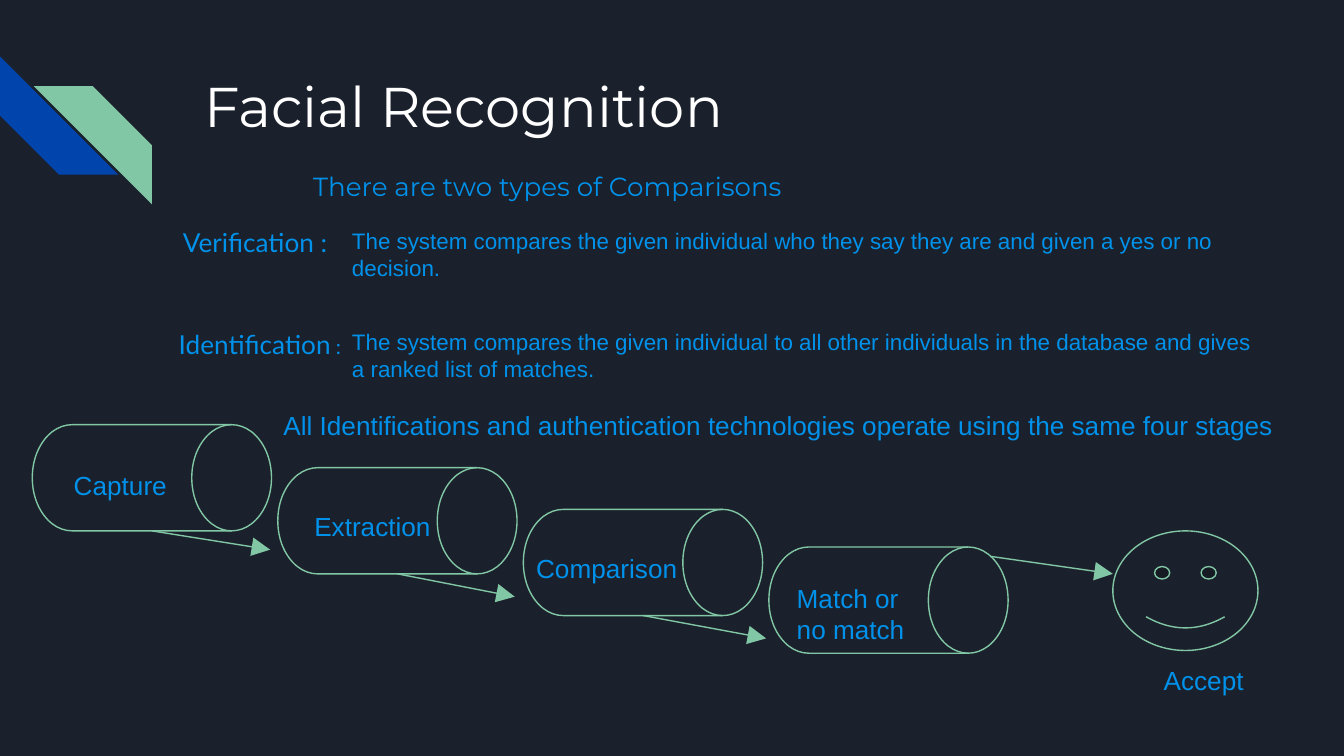
"""Build the Facial Recognition slide on a grid of 100 columns by 56.25 rows."""
from lxml import etree
from pptx import Presentation
from pptx import util as u
from pptx.dml.color import RGBColor
from pptx.enum import shapes, text
from pptx.oxml import ns

NAVY = RGBColor(0x1B, 0x21, 0x2C)
BLUE = RGBColor(0x01, 0x45, 0xAC)
GREEN = RGBColor(0x82, 0xC7, 0xA5)
SKY = RGBColor(0x00, 0x91, 0xEA)
WHITE = RGBColor(0xFF, 0xFF, 0xFF)

CELL = u.Inches(0.1)
COLUMNS, ROWS = 100, 56.25
DRUM_WIDTH, DRUM_HEIGHT = 17.8, 7.9
DRUM_LEFT, DRUM_STEP = 2.4, 18.27
PRESET = shapes.MSO_SHAPE

STAGES = [
    ("Capture", 31.6, (4.5, 33.9, 13.9, 3.6), (20.1, 40.9)),
    ("Extraction", 34.8, (22.4, 37, 13.4, 3.6), (38.3, 44.4)),
    ("Comparison", 37.9, (38.9, 40.1, 12.9, 3.6), (57, 47.5)),
    ("Match or no match", 40.7, (58.3, 42.3, 11.4, 6.3), None),
]
NOTES = [
    ("All Identifications and authentication technologies operate using "
     "the same four stages", (20.1, 29.5, 84.2, 5), 14),
    ("The system compares the given individual who they say they are and "
     "given a yes or no decision.", (25.2, 15.9, 70.1, 5.4), 12),
    ("The system compares the given individual to all other individuals in "
     "the database and gives a ranked list of matches.",
     (25.2, 23.4, 70.1, 5.4), 12),
    ("Accept", (85.6, 48.4, 16.7, 2.8), 14),
]


def grid(*cells):
    """Turn columns and rows into lengths."""
    return [u.Emu(round(cell * CELL)) for cell in cells]


def add_span(para, words, size=14, font="Arial", color=SKY):
    """Add one formatted run to a paragraph."""
    span = para.add_run()
    span.text = words
    span.font.size = u.Pt(size)
    span.font.name = font
    span.font.color.rgb = color


def prepare_frame(box):
    """Give a text holder the slide's margins, wrapping and top anchor."""
    frame = box.text_frame
    frame.word_wrap = True
    frame.auto_size = text.MSO_AUTO_SIZE.NONE
    frame.vertical_anchor = text.MSO_ANCHOR.TOP
    frame.margin_left = frame.margin_right = CELL
    frame.margin_top = frame.margin_bottom = CELL
    return frame


def move(box, area):
    """Place a box on the grid."""
    box.left, box.top, box.width, box.height = grid(*area)


def set_para(para, before=0, after=0, spacing=1.0, indent=0):
    """Set a left-aligned paragraph's spacing and indent without a bullet."""
    para.alignment = text.PP_ALIGN.LEFT
    para.space_before, para.space_after = u.Pt(before), u.Pt(after)
    para.line_spacing = spacing
    props = para._p.get_or_add_pPr()
    props.set("marL", str(grid(indent)[0]))
    props.set("indent", "0")
    etree.SubElement(props, ns.qn("a:buNone"))


def add_title(page):
    """Fill the title with its heading and subheading."""
    title = page.shapes.title
    move(title, (14.2, 4.3, 77, 10))
    frame = prepare_frame(title)
    heading = frame.paragraphs[0]
    set_para(heading)
    add_span(heading, "Facial Recognition", 30, "Montserrat", WHITE)
    subheading = frame.add_paragraph()
    set_para(subheading, before=17, indent=8.1)
    add_span(subheading, "There are two types of Comparisons",
             font="Montserrat")


def add_term(box, area, *spans):
    """Fill a body placeholder with a term made of sized spans."""
    move(box, area)
    para = prepare_frame(box).paragraphs[0]
    set_para(para, after=16, spacing=1.15)
    for words, size in spans:
        add_span(para, words, size, "Lato")


def add_note(page, words, area, size=14):
    """Add a text box with one paragraph."""
    box = page.shapes.add_textbox(*grid(*area))
    add_span(prepare_frame(box).paragraphs[0], words, size)


def add_figure(page, preset, area, fill=NAVY, line=GREEN, adjust=None):
    """Add a preset shape with a flat fill and an optional outline."""
    figure = page.shapes.add_shape(preset, *grid(*area))
    figure.shadow.inherit = False
    figure.fill.solid()
    figure.fill.fore_color.rgb = fill
    if line is None:
        figure.line.fill.background()
    else:
        figure.line.color.rgb = line
        figure.line.width = u.Pt(0.75)
    if adjust is not None:
        figure.adjustments[0] = adjust
    return figure


def add_stripes(page):
    """Add the pair of corner stripes."""
    stripe = PRESET.DIAGONAL_STRIPE
    lower = add_figure(page, stripe, (0, 4.2, 8.8, 8.8), BLUE, None, 0.5)
    lower.rotation = 270
    upper = add_figure(page, stripe, (2.5, 6.4, 8.8, 8.8), GREEN, None, 0.5)
    upper._element.spPr.find(ns.qn("a:xfrm")).set("flipH", "1")


def add_arrow(page, start, end):
    """Add a straight arrow between two grid points."""
    arrow = page.shapes.add_connector(
        shapes.MSO_CONNECTOR.STRAIGHT, *grid(*start, *end))
    arrow.line.color.rgb = GREEN
    arrow.line.width = u.Pt(0.75)
    etree.SubElement(arrow.line._get_or_add_ln(), ns.qn("a:tailEnd"),
                     type="triangle", w="lg", len="lg")
    etree.SubElement(arrow._element.spPr, ns.qn("a:effectLst"))


def add_stages(page):
    """Add the row of labelled drums and the arrows leading from them."""
    for number, (label, top, area, target) in enumerate(STAGES):
        left = DRUM_LEFT + number * DRUM_STEP
        add_figure(page, PRESET.FLOWCHART_DIRECT_ACCESS_STORAGE,
                   (left, top, DRUM_WIDTH, DRUM_HEIGHT))
        add_note(page, label, area)
        if target:
            start = (left + DRUM_WIDTH / 2, top + DRUM_HEIGHT)
            add_arrow(page, start, target)


def main():
    """Build and save the deck."""
    deck = Presentation()
    deck.slide_width, deck.slide_height = grid(COLUMNS, ROWS)
    page = deck.slides.add_slide(deck.slide_layouts.get_by_name("Two Content"))
    page.background.fill.solid()
    page.background.fill.fore_color.rgb = NAVY
    add_stripes(page)
    add_title(page)
    add_term(page.placeholders[1], (12.6, 15.5, 13.9, 4.1),
             ("Verification :", 14))
    add_term(page.placeholders[2], (12.3, 23.1, 14.6, 2.8),
             ("Identification", 14), (" :", 11))
    add_stages(page)
    add_figure(page, PRESET.SMILEY_FACE, (82.8, 39.5, 10.8, 8.9),
               adjust=0.047)
    add_arrow(page, (73.7, 41.4), (82.8, 42.7))
    for words, area, size in NOTES:
        add_note(page, words, area, size)
    deck.save("out.pptx")


if __name__ == "__main__":
    main()
